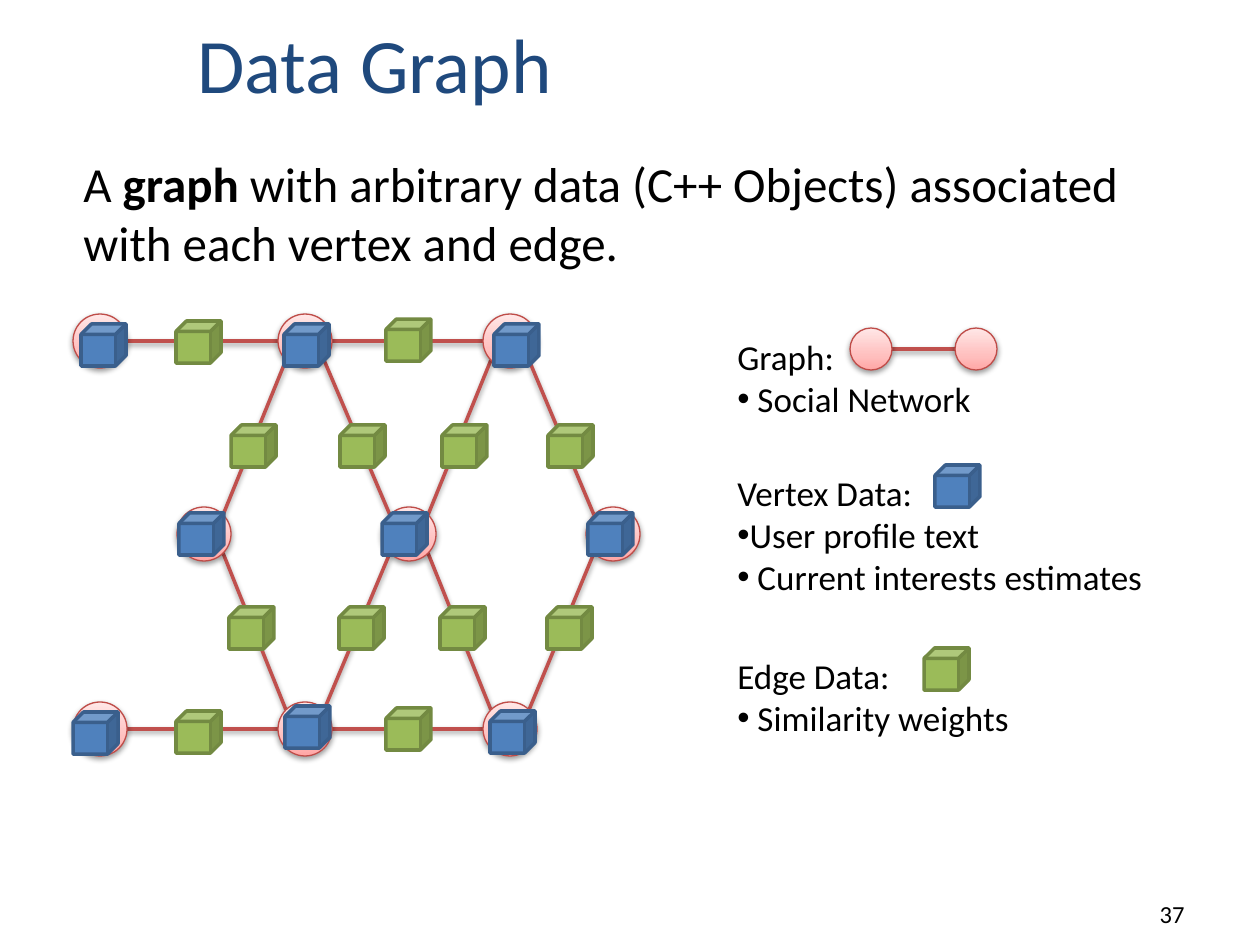
from pptx import Presentation
from pptx.dml.color import RGBColor
from pptx.enum.shapes import MSO_CONNECTOR, MSO_SHAPE
from pptx.enum.text import MSO_ANCHOR, PP_ALIGN
from pptx.oxml import parse_xml
from pptx.oxml.ns import nsdecls
from pptx.util import Emu, Pt

CUBE, ELLIPSE = MSO_SHAPE.CUBE, MSO_SHAPE.OVAL
STRAIGHT = MSO_CONNECTOR.STRAIGHT
TOP, BOTTOM = MSO_ANCHOR.TOP, MSO_ANCHOR.BOTTOM
LEFT, RIGHT = PP_ALIGN.LEFT, PP_ALIGN.RIGHT

PX_PER_INCH = 126
BLUE = ("4F81BD", "3A5F8C")
GREEN = ("9BBB59", "738A42")
PINK_STOPS = ((0, "FFA6A5"), (35, "FFC0BF"), (100, "FFE7E7"))
VERTEX_RADIUS = 27
LEGEND_RADIUS = 21


def px(length):
    return Emu(length * 914400 // PX_PER_INCH)


def color(value):
    return RGBColor.from_string(value)


def sign(value):
    return (value > 0) - (value < 0)


class GraphPage:
    font = "Calibri"
    edge_color = "C0504D"
    rim_color = "BF4C48"

    def __init__(self, deck):
        self.page = deck.slides.add_slide(deck.slide_layouts[6])
        self.shapes = self.page.shapes

    def add_shadow(self, item):
        item._element.spPr.append(parse_xml(
            f'<a:effectLst {nsdecls("a")}>'
            '<a:outerShdw blurRad="40000" dist="20000" dir="5400000" rotWithShape="0">'
            '<a:srgbClr val="000000"><a:alpha val="38000"/></a:srgbClr>'
            '</a:outerShdw></a:effectLst>'))

    def set_line(self, item, value, width):
        item.line.color.rgb = color(value)
        item.line.width = Pt(width)

    def edge(self, start, end, radius):
        step_x, step_y = sign(end[0] - start[0]), sign(end[1] - start[1])
        reach = round(radius * 0.71) if step_y else radius
        line = self.shapes.add_connector(
            STRAIGHT,
            px(start[0] + step_x * reach), px(start[1] + step_y * reach),
            px(end[0] - step_x * reach), px(end[1] - step_y * reach))
        self.set_line(line, self.edge_color, 2)
        self.add_shadow(line)

    def vertex(self, center, radius):
        circle = self.shapes.add_shape(
            ELLIPSE, px(center[0] - radius), px(center[1] - radius),
            px(2 * radius), px(2 * radius))
        circle.fill.background()
        stops = "".join(
            f'<a:gs pos="{position * 1000}"><a:srgbClr val="{value}"/></a:gs>'
            for position, value in PINK_STOPS)
        gradient = parse_xml(
            f'<a:gradFill {nsdecls("a")} rotWithShape="1"><a:gsLst>{stops}</a:gsLst>'
            '<a:lin ang="16200000" scaled="0"/></a:gradFill>')
        properties = circle._element.spPr
        properties.replace(properties.find(
            "{http://schemas.openxmlformats.org/drawingml/2006/main}noFill"), gradient)
        self.set_line(circle, self.rim_color, 0.75)
        self.add_shadow(circle)

    def cube(self, left, top, palette):
        box = self.shapes.add_shape(CUBE, px(left), px(top), px(45), px(42))
        box.shadow.inherit = False
        box.fill.solid()
        box.fill.fore_color.rgb = color(palette[0])
        self.set_line(box, palette[1], 2)

    def add_span(self, para, text, size, value, bold=False):
        span = para.add_run()
        span.text = text
        span.font.name = self.font
        span.font.size = Pt(size)
        span.font.bold = bold
        span.font.color.rgb = color(value)

    def text(self, bounds, spans, size, value="000000", anchor=TOP, align=LEFT):
        box = self.shapes.add_textbox(*map(px, bounds))
        frame = box.text_frame
        frame.word_wrap = True
        frame.vertical_anchor = anchor
        para = frame.paragraphs[0]
        para.alignment = align
        for text, bold in spans:
            self.add_span(para, text, size, value, bold)
        return frame

    def legend(self, top, width, height, heading, bullets):
        frame = self.text((725, top, width, height), [(heading, False)], 20)
        for text in bullets:
            para = frame.add_paragraph()
            properties = para._p.get_or_add_pPr()
            properties.append(parse_xml(
                f'<a:buFont {nsdecls("a")} typeface="Arial"/>'))
            properties.append(parse_xml(f'<a:buChar {nsdecls("a")} char="•"/>'))
            self.add_span(para, text, 20, "000000")


def main():
    deck = Presentation()
    deck.slide_width, deck.slide_height = px(1260), px(945)
    page = GraphPage(deck)

    page.text((185, 10, 1033, 105), [("Data Graph", False)], 44, "1F497D", BOTTOM)
    page.text((935, 872, 262, 63), [("37", False)], 14, anchor=BOTTOM, align=RIGHT)
    page.text((71, 147, 1095, 131), [
        ("A ", False), ("graph ", True),
        ("with arbitrary data (C++ Objects) associated with each vertex and edge.", False),
    ], 28)

    upper, lower = ([(x, y) for x in (100, 305, 510)] for y in (341, 729))
    middle = [(x, 534) for x in (204, 409, 613)]
    for row in (upper, lower):
        for start, end in zip(row, row[1:]):
            page.edge(start, end, VERTEX_RADIUS)
        for index in (1, 2):
            for neighbor in middle[index - 1:index + 1]:
                page.edge(row[index], neighbor, VERTEX_RADIUS)
    for center in upper + middle + lower:
        page.vertex(center, VERTEX_RADIUS)

    vertex_cubes = [
        (81, 324), (284, 324), (494, 324),
        (179, 513), (382, 513), (588, 513),
        (73, 712), (285, 706), (490, 711),
    ]
    edge_cubes = [(176, 321), (386, 319), (176, 711), (386, 708)]
    edge_cubes += [(left, 425) for left in (231, 340, 442, 548)]
    edge_cubes += [(left, 607) for left in (229, 339, 440, 547)]
    for cubes, palette in ((vertex_cubes, BLUE), (edge_cubes, GREEN)):
        for left, top in cubes:
            page.cube(left, top, palette)

    page.legend(329, 494, 97, "Graph:", [" Social Network"])
    page.legend(465, 504, 140, "Vertex Data:",
                ["User profile text", " Current interests estimates"])
    page.legend(648, 494, 97, "Edge Data:", [" Similarity weights"])
    sample = [(871, 349), (976, 349)]
    page.edge(*sample, LEGEND_RADIUS)
    for center in sample:
        page.vertex(center, LEGEND_RADIUS)
    page.cube(935, 465, BLUE)
    page.cube(924, 648, GREEN)

    deck.save("out.pptx")


if __name__ == "__main__":
    main()
